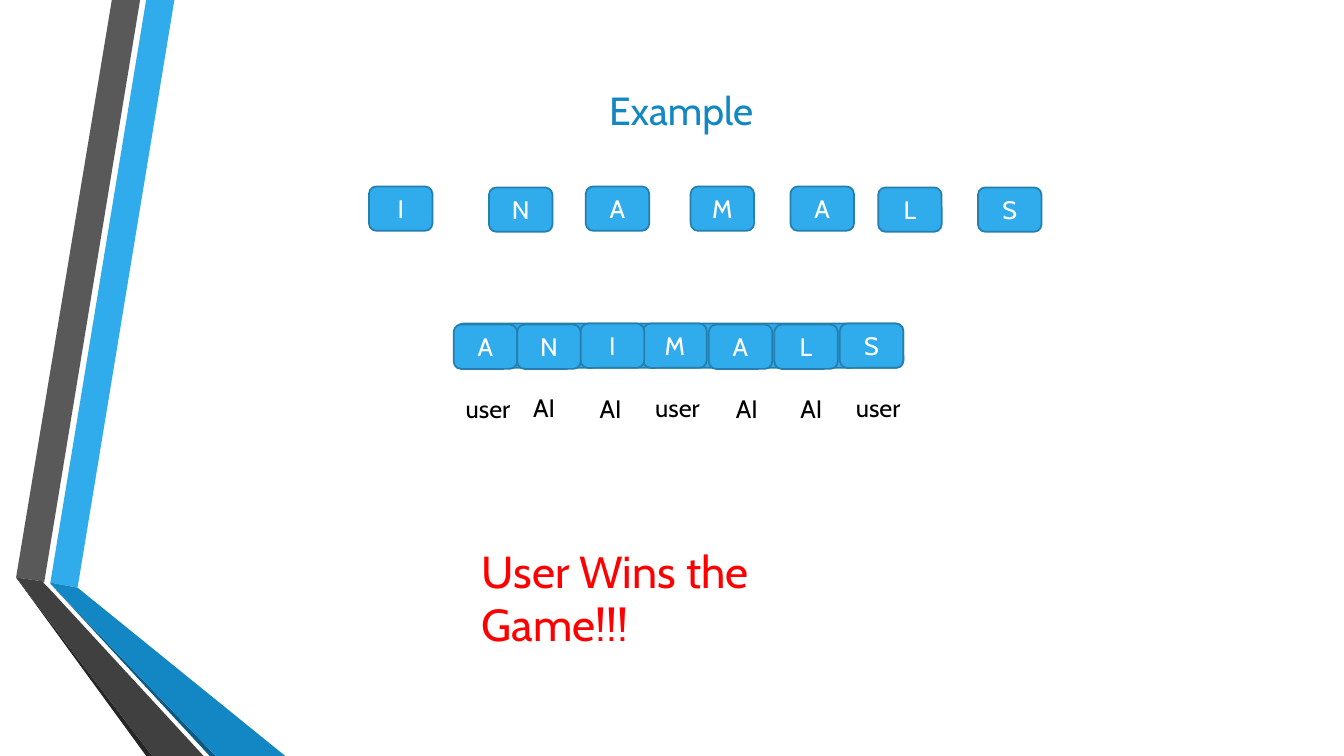
import pptx
import pptx.util
import pptx.dml.color
import pptx.enum.shapes
import pptx.enum.text

Inches = pptx.util.Inches
Pt = pptx.util.Pt
ALIGN = pptx.enum.text.PP_ALIGN
ANCHOR = pptx.enum.text.MSO_ANCHOR

FONT = "Cabin"
COLORS = {
    "blue": "30ACEC", "blue_edge": "247FAF", "deep_blue": "1287C3",
    "navy": "0C5A82", "gray": "595959", "dark_gray": "404040",
    "near_black": "262626", "white": "FFFFFF", "black": "000000", "red": "FF0000",
}
TILE_WIDTH, TILE_HEIGHT = 0.63, 0.44

# Ribbon pieces, back to front: colour and outline points
RIBBONS = [
    ("blue", [(0.5, 5.78), (0.77, 5.83), (1.73, 0), (1.45, 0)]),
    ("gray", [(1.39, 0), (1.11, 0), (0.16, 5.73), (0.44, 5.77)]),
    ("near_black", [(0.16, 5.73), (1.45, 7.5), (1.51, 7.5)]),
    ("navy", [(0.5, 5.79), (2.08, 7.5), (2.14, 7.5)]),
    ("deep_blue", [(0.5, 5.79), (2.14, 7.5), (2.83, 7.5), (0.77, 5.83), (0.5, 5.78)]),
    ("dark_gray", [(2.02, 7.5), (0.48, 5.83), (0.43, 5.78), (0.44, 5.77),
                   (0.16, 5.73), (1.51, 7.5)]),
]

# Letters and captions: text, then offsets from the left and top of their row
SCATTERED = [("I", 0, 0), ("N", 1.19, 0.01), ("A", 2.15, 0), ("M", 3.19, 0),
             ("A", 4.18, 0), ("L", 5.05, 0.01), ("S", 6.04, 0.01)]
SPELLED = [("A", 0, 0.01), ("N", 0.63, 0.01), ("A", 2.53, 0.01), ("S", 3.83, 0),
           ("M", 1.88, 0), ("I", 1.26, 0), ("L", 3.18, 0.01)]
# Captions add the box width and whether it wraps
PLAYERS = [("user", 0, 0.01, 0.72, True), ("AI", 0.67, 0, 0.63, True),
           ("AI", 1.33, 0.01, 0.63, True), ("user", 1.88, 0, 0.65, False),
           ("AI", 2.68, 0.01, 0.42, False), ("AI", 3.32, 0.01, 0.42, False),
           ("user", 3.87, 0, 0.65, False)]


def rgb(name):
    return pptx.dml.color.RGBColor.from_string(COLORS[name])


def write(shape, text, size, color, align=ALIGN.LEFT, anchor=ANCHOR.TOP, wrap=True):
    frame = shape.text_frame
    frame_format = {"word_wrap": wrap, "vertical_anchor": anchor,
                    "auto_size": pptx.enum.text.MSO_AUTO_SIZE.NONE}
    for name, value in frame_format.items():
        setattr(frame, name, value)
    paragraph = frame.paragraphs[0]
    paragraph.alignment = align
    run = paragraph.add_run()
    run.text = text
    for name, value in {"name": FONT, "size": Pt(size)}.items():
        setattr(run.font, name, value)
    run.font.color.rgb = rgb(color)


def add_label(slide, box, text, size, color, wrap=True):
    shape = slide.shapes.add_textbox(*map(Inches, box))
    write(shape, text, size, color, wrap=wrap)


def add_tile(slide, box, letter=None):
    tile = slide.shapes.add_shape(
        pptx.enum.shapes.MSO_SHAPE.ROUNDED_RECTANGLE, *map(Inches, box))
    tile.shadow.inherit = False
    tile.fill.solid()
    tile.fill.fore_color.rgb = rgb("blue")
    tile.line.color.rgb = rgb("blue_edge")
    tile.line.width = Pt(1.25)
    if letter:
        write(tile, letter, 18, "white", ALIGN.CENTER, ANCHOR.MIDDLE)


def add_ribbons(slide, left, top):
    for color, points in RIBBONS:
        corners = [(Inches(left + x), Inches(top + y)) for x, y in points]
        builder = slide.shapes.build_freeform(*corners[0], scale=1.0)
        builder.add_line_segments(corners[1:], close=True)
        ribbon = builder.convert_to_shape()
        ribbon.shadow.inherit = False
        ribbon.fill.solid()
        ribbon.fill.fore_color.rgb = rgb(color)
        ribbon.line.fill.background()


def add_title(slide, box, text):
    title = slide.shapes.title
    for name, value in zip(("left", "top", "width", "height"), box):
        setattr(title, name, Inches(value))
    write(title, text, 28, "deep_blue")


def add_letter_row(slide, left, top, letters):
    for letter, x, y in letters:
        add_tile(slide, (left + x, top + y, TILE_WIDTH, TILE_HEIGHT), letter)


def add_player_row(slide, left, top):
    for player, x, y, width, wrap in PLAYERS:
        add_label(slide, (left + x, top + y, width, 0.4), player, 18, "black", wrap)


def main():
    presentation = pptx.Presentation()
    presentation.slide_width = Inches(13.33)
    presentation.slide_height = Inches(7.5)
    slide = presentation.slides.add_slide(presentation.slide_layouts[5])

    # Side decoration and title
    add_ribbons(slide, 0, 0)
    add_title(slide, (5.94, 0.81, 2.79, 0.57), "Example")

    # Spelled word on its tray, with the player of each letter below
    add_tile(slide, (4.52, 3.21, 4.44, TILE_HEIGHT))
    add_letter_row(slide, 4.5, 3.21, SPELLED)
    add_player_row(slide, 4.52, 3.84)

    # Scattered letters and the result
    add_letter_row(slide, 3.66, 1.85, SCATTERED)
    add_label(slide, (4.68, 5.34, 4.29, 0.64), "User Wins the Game!!!", 32, "red")

    presentation.save("out.pptx")


if __name__ == "__main__":
    main()
